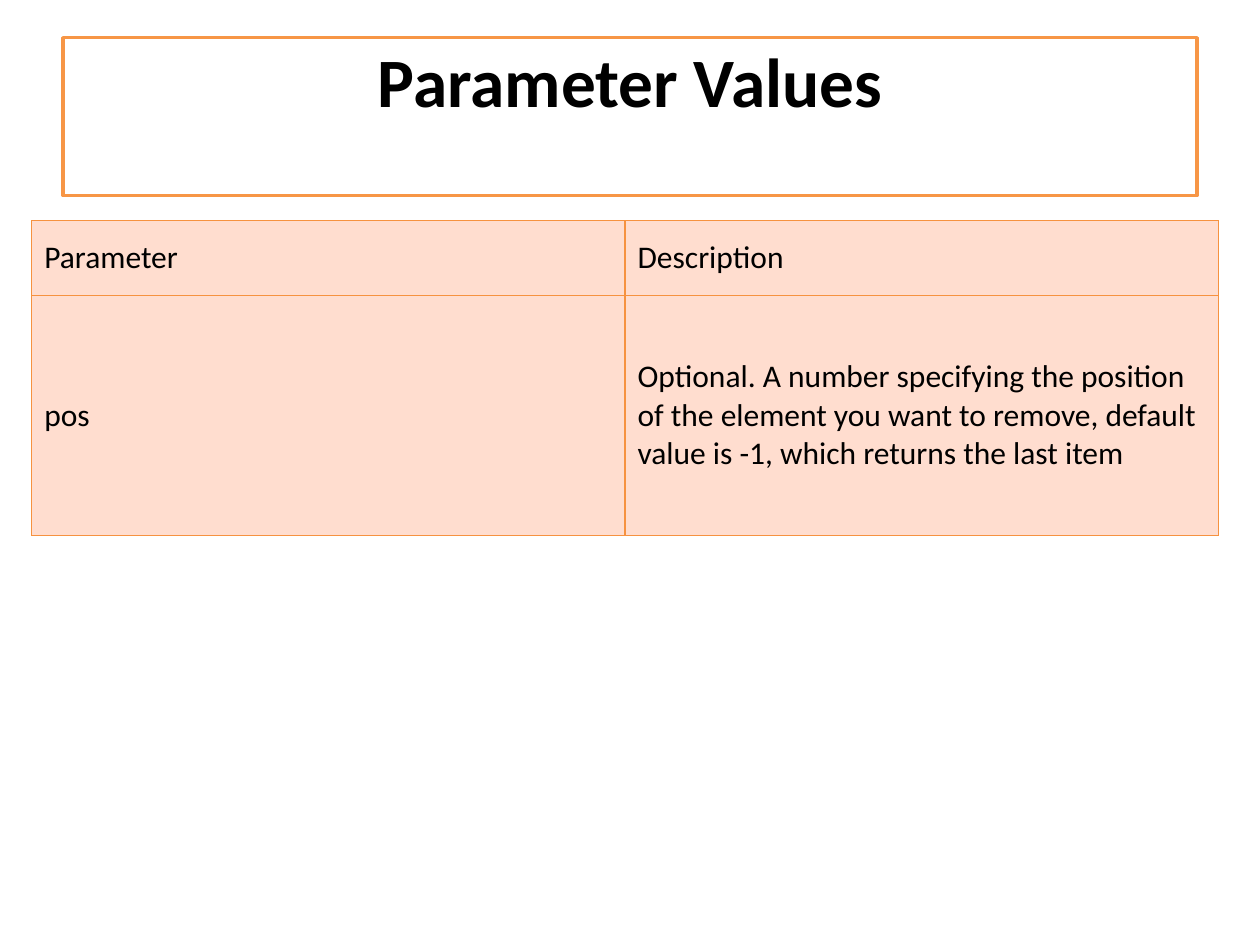
"""Build the Parameter Values slide: a framed title above a two-column table."""
from lxml import etree
from pptx import Presentation
from pptx.dml.color import RGBColor
from pptx.enum.text import MSO_ANCHOR, MSO_AUTO_SIZE, PP_ALIGN
from pptx.oxml.ns import qn
from pptx.util import Cm, Pt

TOP, MIDDLE = MSO_ANCHOR.TOP, MSO_ANCHOR.MIDDLE
LEFT, CENTER = PP_ALIGN.LEFT, PP_ALIGN.CENTER
NO_AUTOFIT = MSO_AUTO_SIZE.NONE

TITLE = "Parameter Values"
ROWS = [
    ("Parameter", "Description"),
    ("pos", "Optional. A number specifying the position of the element you want "
            "to remove, default value is -1, which returns the last item"),
]
ROW_HEIGHTS = [1.5, 4.85]
COL_WIDTH = 11.96
COLORS = {"text": "000000", "paper": "FFFFFF", "frame": "F79646",
          "border": "F69240", "cell": "FFDDCF"}


def rgb(name):
    """Return a named colour."""
    return RGBColor.from_string(COLORS[name])


def write(tf, text, size=18, bold=False, align=LEFT):
    """Write one formatted paragraph."""
    p = tf.paragraphs[0]
    p.alignment = align
    r = p.add_run()
    r.text = text
    r.font.name, r.font.size, r.font.bold = "Calibri", Pt(size), bold
    r.font.color.rgb = rgb("text")


def add_borders(cell, width=0.75):
    """Draw the four borders of a cell, ahead of its fill."""
    props = cell._tc.get_or_add_tcPr()
    for i, side in enumerate(("lnL", "lnR", "lnT", "lnB")):
        ln = etree.Element(qn(f"a:{side}"), w=str(Pt(width)))
        fill = etree.SubElement(ln, qn("a:solidFill"))
        etree.SubElement(fill, qn("a:srgbClr"), val=COLORS["border"])
        props.insert(i, ln)


prs = Presentation()
prs.slide_width, prs.slide_height = Cm(25.4), Cm(19.05)
s = prs.slides.add_slide(prs.slide_layouts[5])

title = s.shapes.title
title.left, title.top, title.width, title.height = Cm(1.27), Cm(0.76), Cm(22.86), Cm(3.18)
title.fill.solid()
title.fill.fore_color.rgb = rgb("paper")
title.line.color.rgb = rgb("frame")
title.line.width = Pt(2)
tf = title.text_frame
tf.auto_size, tf.vertical_anchor, tf.margin_top = NO_AUTOFIT, TOP, 0
write(tf, TITLE, size=39.6, bold=True, align=CENTER)

table = s.shapes.add_table(len(ROWS), len(ROWS[0]), Cm(0.64), Cm(4.45),
                           Cm(COL_WIDTH * len(ROWS[0])), Cm(sum(ROW_HEIGHTS))).table
for col in table.columns:
    col.width = Cm(COL_WIDTH)
for i, (row, height) in enumerate(zip(ROWS, ROW_HEIGHTS)):
    table.rows[i].height = Cm(height)
    for j, text in enumerate(row):
        cell = table.cell(i, j)
        cell.fill.solid()
        cell.fill.fore_color.rgb = rgb("cell")
        cell.vertical_anchor = MIDDLE
        write(cell.text_frame, text)
        add_borders(cell)

prs.save("out.pptx")
